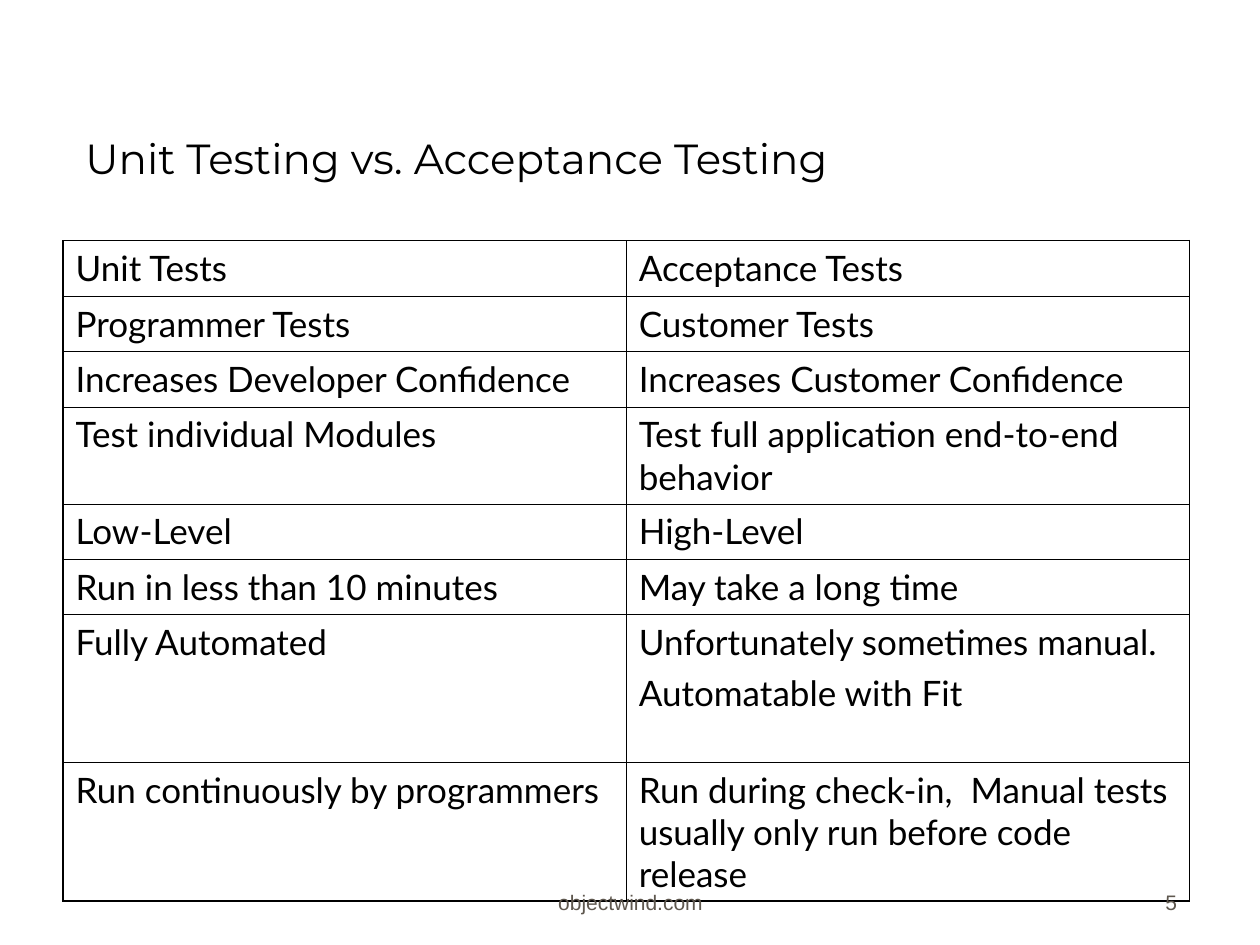
import pptx
import pptx.dml.color
import pptx.enum.text
import pptx.oxml.ns
import pptx.util
import lxml.etree

Inches = pptx.util.Inches
Pt = pptx.util.Pt
Align = pptx.enum.text.PP_ALIGN

COLORS = {"ink": "000000", "footer": "5E574E"}
THICK = 1.08
THIN = 0.45

ROWS = [
    (0.44, "Unit Tests", "Acceptance Tests"),
    (0.44, "Programmer Tests", "Customer Tests"),
    (0.44, "Increases Developer Confidence", "Increases Customer Confidence"),
    (0.77, "Test individual Modules", "Test full application end-to-end behavior"),
    (0.44, "Low-Level", "High-Level"),
    (0.44, "Run in less than 10 minutes", "May take a long time"),
    (1.17, "Fully Automated", "Unfortunately sometimes manual.\nAutomatable with Fit"),
    (1.1, "Run continuously by programmers",
     "Run during check-in,  Manual tests usually only run before code release"),
]


class SlideBuilder:
    heading_font = "Montserrat"
    body_font = "Lato"
    footer_font = "Arial"

    def __init__(self, presentation):
        self.slide = presentation.slides.add_slide(presentation.slide_layouts[6])

    def style(self, text_frame, font, size, color, align=Align.LEFT):
        for index, paragraph in enumerate(text_frame.paragraphs):
            paragraph.alignment = align
            paragraph.space_before = Pt(5 if index else 0)
            for run in paragraph.runs:
                run.font.name = font
                run.font.size = Pt(size)
                run.font.color.rgb = pptx.dml.color.RGBColor.from_string(COLORS[color])

    def text(self, text, left, top, width, height, font, size, color, align=Align.LEFT):
        box = self.slide.shapes.add_textbox(
            Inches(left), Inches(top), Inches(width), Inches(height))
        text_frame = box.text_frame
        text_frame.word_wrap = True
        text_frame.vertical_anchor = pptx.enum.text.MSO_ANCHOR.BOTTOM
        text_frame.text = text
        self.style(text_frame, font, size, color, align)

    def border(self, cell, side, width):
        qn = pptx.oxml.ns.qn
        properties = cell._tc.get_or_add_tcPr()
        line = lxml.etree.SubElement(properties, qn(f"a:ln{side}"), w=str(Pt(width)))
        fill = lxml.etree.SubElement(line, qn("a:solidFill"))
        lxml.etree.SubElement(fill, qn("a:srgbClr"), val=COLORS["ink"])

    def table(self, rows, left, top, column_width):
        heights = [row[0] for row in rows]
        last_row = len(rows) - 1
        table = self.slide.shapes.add_table(
            len(rows), 2, Inches(left), Inches(top),
            Inches(2 * column_width), Inches(sum(heights))).table
        table.first_row = False
        table.horz_banding = False
        for column in table.columns:
            column.width = Inches(column_width)
        for row_index, (height, *texts) in enumerate(rows):
            table.rows[row_index].height = Inches(height)
            for column_index, text in enumerate(texts):
                cell = table.cell(row_index, column_index)
                cell.text_frame.text = text
                self.style(cell.text_frame, self.body_font, 20, "ink")
                thick_sides = {
                    "L": column_index == 0,
                    "R": column_index == 1,
                    "T": row_index == 0 and column_index == 1,
                    "B": row_index == last_row,
                }
                for side, thick in thick_sides.items():
                    self.border(cell, side, THICK if thick else THIN)
                cell.fill.background()


def main():
    presentation = pptx.Presentation()
    presentation.slide_width = Inches(10)
    presentation.slide_height = Inches(7.5)
    builder = SlideBuilder(presentation)
    builder.text("Unit Testing vs. Acceptance Testing", 0.58, 0.25, 8.03, 1.25,
                 builder.heading_font, 24, "ink")
    builder.table(ROWS, 0.5, 1.91, 4.47)
    builder.text("objectwind.com", 3.42, 6.81, 3.17, 0.5,
                 builder.footer_font, 12, "footer", Align.CENTER)
    builder.text("5", 7.36, 6.81, 2.08, 0.5,
                 builder.footer_font, 12, "footer", Align.RIGHT)
    presentation.save("out.pptx")


if __name__ == "__main__":
    main()
